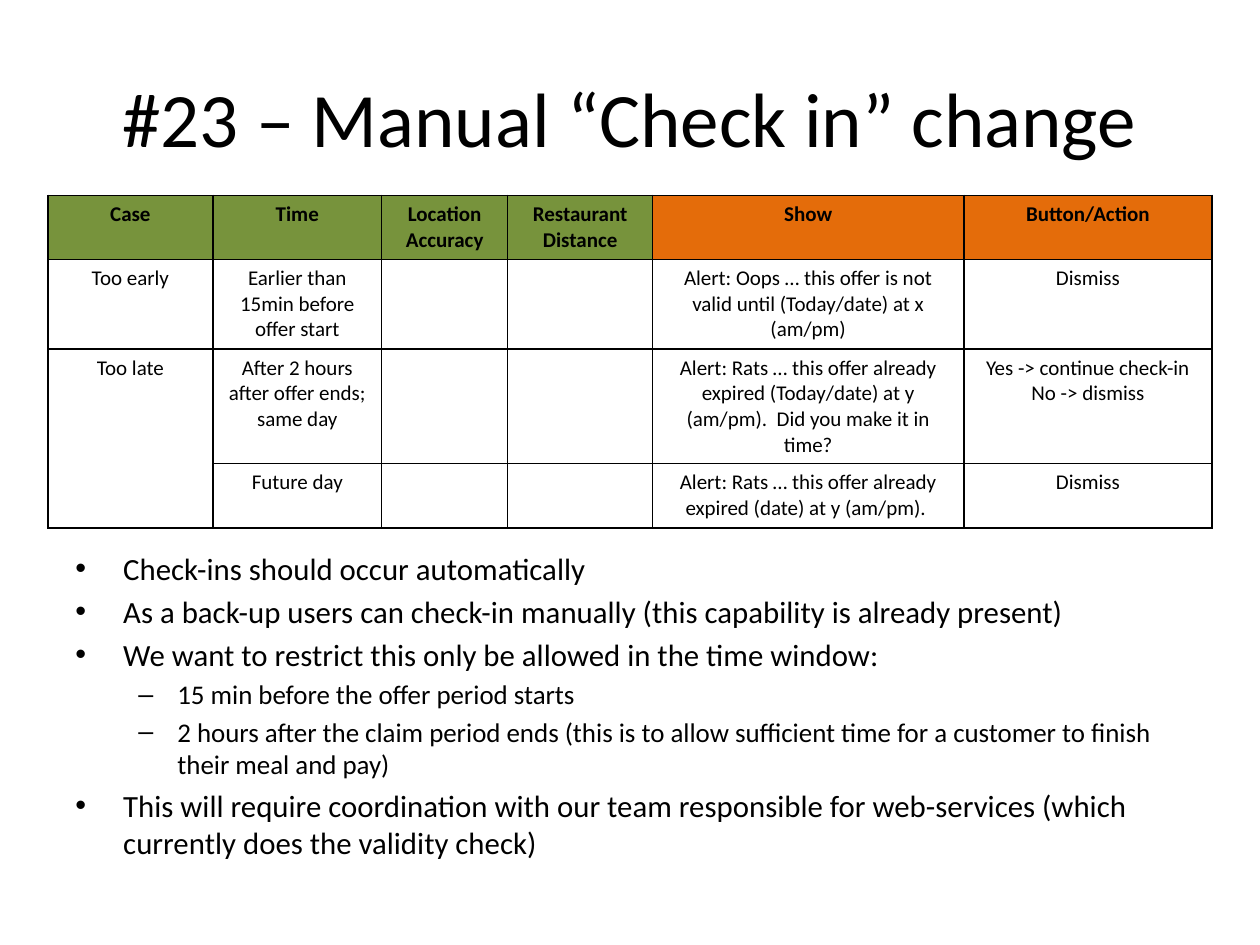
from lxml.etree import SubElement
from pptx import Presentation
from pptx.dml.color import RGBColor
from pptx.enum.text import MSO_ANCHOR, PP_ALIGN
from pptx.oxml.ns import qn
from pptx.util import Inches, Pt

BLACK, GREEN, ORANGE = "000000", "77933C", "E46C0A"


def add_run(p, text, size, bold=False):
    """Add a black Calibri run to a paragraph."""
    r = p.add_run()
    r.text = text
    r.font.name = "Calibri"
    r.font.size = Pt(size)
    r.font.bold = bold
    r.font.color.rgb = RGBColor.from_string(BLACK)


def add_borders(cell):
    """Draw a thin black line on each side of a table cell."""
    tc_pr = cell._tc.get_or_add_tcPr()
    for side in ("lnL", "lnR", "lnT", "lnB"):
        ln = SubElement(tc_pr, qn(f"a:{side}"), w=str(Pt(1)))
        fill = SubElement(ln, qn("a:solidFill"))
        SubElement(fill, qn("a:srgbClr"), val=BLACK)


prs = Presentation()
prs.slide_width, prs.slide_height = Inches(10), Inches(7.5)
s = prs.slides.add_slide(prs.slide_layouts[6])

# Title
title = s.shapes.add_textbox(Inches(0.5), Inches(0.3), Inches(9), Inches(1.25))
tf = title.text_frame
tf.word_wrap = True
tf.vertical_anchor = MSO_ANCHOR.MIDDLE
p = tf.paragraphs[0]
p.alignment = PP_ALIGN.CENTER
add_run(p, "#23 – Manual “Check in” change", 44)

# Table of check-in cases
col_widths = [1.31, 1.34, 1, 1.15, 2.47, 1.97]
row_heights = [0.51, 0.71, 0.91, 0.51]
header_fills = [GREEN] * 4 + [ORANGE] * 2
rows = [
    ["Case", "Time", "Location Accuracy", "Restaurant Distance", "Show", "Button/Action"],
    ["Too early", "Earlier than 15min before offer start", "", "",
     "Alert: Oops … this offer is not valid until (Today/date) at x (am/pm)", "Dismiss"],
    ["Too late", "After 2 hours after offer ends; same day", "", "",
     "Alert: Rats … this offer already expired (Today/date) at y (am/pm).  "
     "Did you make it in time?",
     "Yes -> continue check-in\nNo -> dismiss"],
    ["", "Future day", "", "",
     "Alert: Rats … this offer already expired (date) at y (am/pm). ", "Dismiss"],
]
table = s.shapes.add_table(
    len(rows), len(col_widths), Inches(0.38), Inches(1.55),
    Inches(sum(col_widths)), Inches(sum(row_heights))).table
table.first_row = table.horz_banding = False
for col, width in zip(table.columns, col_widths):
    col.width = Inches(width)
for row, height in zip(table.rows, row_heights):
    row.height = Inches(height)
table.cell(2, 0).merge(table.cell(3, 0))

for i, texts in enumerate(rows):
    for j, text in enumerate(texts):
        cell = table.cell(i, j)
        add_borders(cell)
        if i == 0:
            cell.fill.solid()
            cell.fill.fore_color.rgb = RGBColor.from_string(header_fills[j])
        else:
            cell.fill.background()
        if not text:
            continue
        for k, line in enumerate(text.split("\n")):
            tf = cell.text_frame
            p = tf.add_paragraph() if k else tf.paragraphs[0]
            p.alignment = PP_ALIGN.CENTER
            add_run(p, line, 12, bold=i == 0)

# Bulleted notes: level and text
notes = [
    (0, "Check-ins should occur automatically"),
    (0, "As a back-up users can check-in manually (this capability is already present)"),
    (0, "We want to restrict this only be allowed in the time window:"),
    (1, "15 min before the offer period starts"),
    (1, "2 hours after the claim period ends (this is to allow sufficient time "
        "for a customer to finish their meal and pay)"),
    (0, "This will require coordination with our team responsible for "
        "web-services (which currently does the validity check)"),
]
# Size, left margin, hanging indent and bullet of each level
levels = [(17.6, 0.38, 0.38, "•"), (15.4, 0.81, 0.31, "–")]
body = s.shapes.add_textbox(Inches(0.5), Inches(4.31), Inches(9), Inches(2.39))
tf = body.text_frame
tf.word_wrap = True
for i, (level, text) in enumerate(notes):
    size, margin, hanging, bullet = levels[level]
    p = tf.add_paragraph() if i else tf.paragraphs[0]
    p.level = level
    p.space_before = Pt(round(size * 0.2, 1))
    p_pr = p._p.get_or_add_pPr()
    p_pr.set("marL", str(Inches(margin)))
    p_pr.set("indent", str(-Inches(hanging)))
    SubElement(p_pr, qn("a:buFont"), typeface="Arial")
    SubElement(p_pr, qn("a:buChar"), char=bullet)
    add_run(p, text, size)

prs.save("out.pptx")
